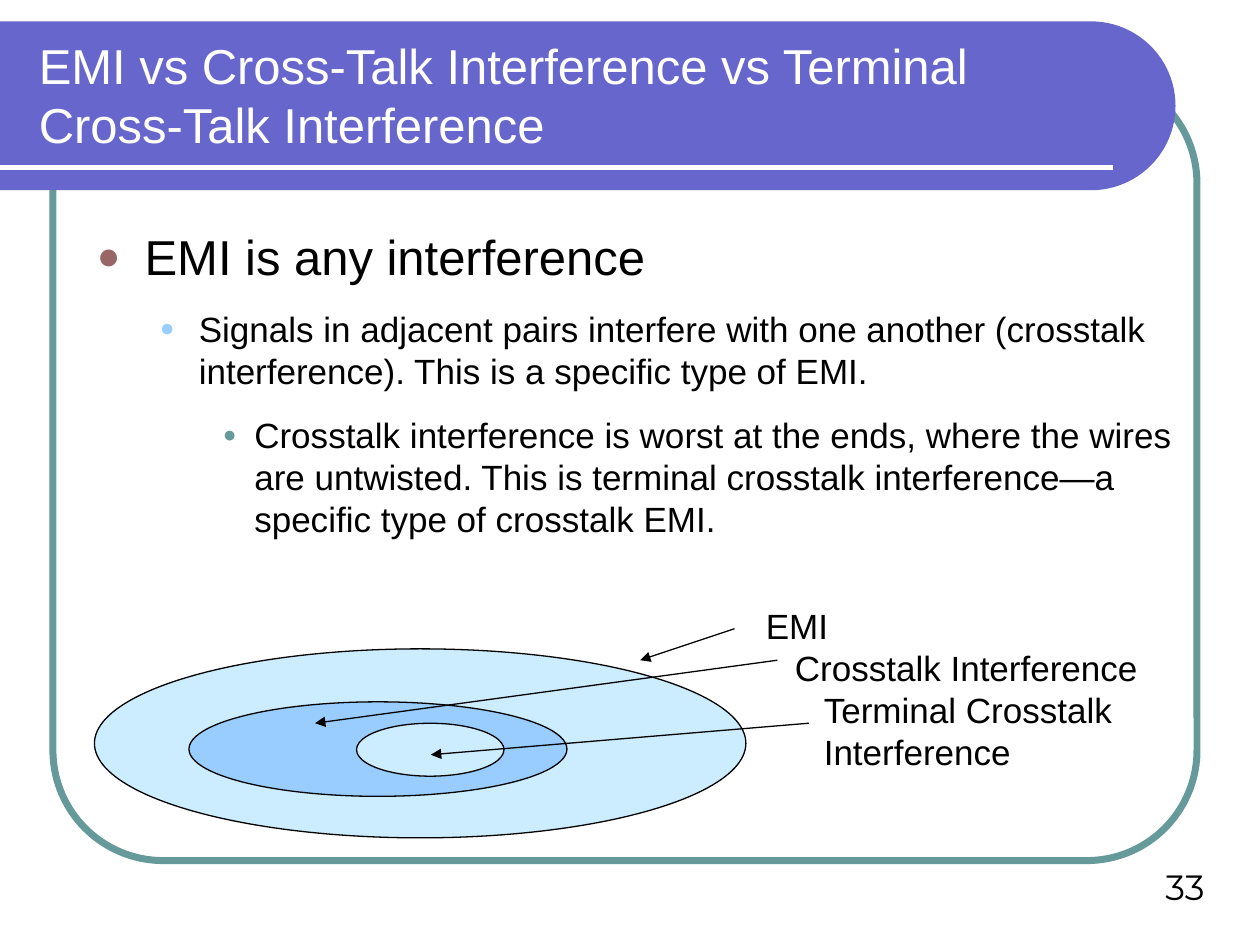
"""Build a slide that nests terminal crosstalk inside crosstalk inside EMI."""
from math import cos, pi, sin

from lxml.etree import SubElement
from pptx import Presentation
from pptx.dml.color import RGBColor
from pptx.enum.shapes import MSO_CONNECTOR, MSO_SHAPE
from pptx.enum.text import MSO_ANCHOR, PP_ALIGN
from pptx.oxml.ns import qn
from pptx.util import Inches, Pt

COLORS = {"band": "6666CC", "frame": "669999", "white": "FFFFFF", "black": "000000",
          "pale": "CCECFF", "sky": "99CCFF", "rose": "996666"}

TITLE = ["EMI vs Cross-Talk Interference vs Terminal Cross-Talk Interference"]
POINTS = [
    dict(text="EMI is any interference", size=28, margin=0.38, hanging=0.38,
         before=21, bullet="rose", bullet_size=80),
    dict(text="Signals in adjacent pairs interfere with one another (crosstalk "
              "interference). This is a specific type of EMI.",
         margin=0.81, hanging=0.31, before=12.5, bullet="sky", bullet_size=70),
    dict(text="Crosstalk interference is worst at the ends, where the wires are untwisted. "
              "This is terminal crosstalk interference—a specific type of crosstalk EMI.",
         margin=1.25, hanging=0.25, before=12.5, bullet="frame", bullet_size=65),
]
LABEL_STEP = 0.23
LABELS = [("EMI", 0), ("Crosstalk Interference", 1),
          ("Terminal Crosstalk", 2), ("Interference", 2)]
ELLIPSES = [((0.75, 5.15, 5.17, 1.5), "pale"), ((1.5, 5.57, 3, 0.75), "sky"),
            ((2.83, 5.74, 1.17, 0.42), "pale")]
ARROWS = [((5.83, 4.99), (5.08, 5.24)), ((6.17, 5.24), (2.5, 5.74)),
          ((6.42, 5.74), (3.42, 5.99))]
BAND_TOP, BAND_RIGHT, BAND_RADIUS = 0.17, 9.33, 0.67


def color(name):
    return RGBColor.from_string(COLORS[name])


def format_shape(shape, fill=None, line=None, width=0.75):
    shape.shadow.inherit = False
    if fill:
        shape.fill.solid()
        shape.fill.fore_color.rgb = color(fill)
    else:
        shape.fill.background()
    if line:
        shape.line.color.rgb = color(line)
        shape.line.width = Pt(width)
    else:
        shape.line.fill.background()


def add_preset(page, kind, place, **style):
    shape = page.shapes.add_shape(kind, *map(Inches, place))
    format_shape(shape, **style)
    return shape


def add_band(page):
    center_x, center_y = BAND_RIGHT - BAND_RADIUS, BAND_TOP + BAND_RADIUS
    steps = 48
    angles = [pi * step / steps - pi / 2 for step in range(steps + 1)]
    curve = [(center_x + BAND_RADIUS * cos(angle), center_y + BAND_RADIUS * sin(angle))
             for angle in angles]
    outline = curve + [(0, BAND_TOP + 2 * BAND_RADIUS)]
    builder = page.shapes.build_freeform(0, Inches(BAND_TOP))
    builder.add_line_segments([(Inches(x), Inches(y)) for x, y in outline], close=True)
    format_shape(builder.convert_to_shape(), fill="band")


def add_line(page, start, end, line="black", width=0.75, arrow=False):
    connector = page.shapes.add_connector(MSO_CONNECTOR.STRAIGHT, *map(Inches, start + end))
    connector.line.color.rgb = color(line)
    connector.line.width = Pt(width)
    if arrow:
        SubElement(connector.line._get_or_add_ln(), qn("a:tailEnd"), type="triangle")
    SubElement(connector._element.spPr, qn("a:effectLst"))


def add_paragraph(paragraph, text, size=20, font="Arial", ink="black", margin=0, hanging=0,
                  before=0, bullet=None, bullet_size=100, align=PP_ALIGN.LEFT):
    paragraph.alignment = align
    paragraph.space_before = Pt(before)
    properties = paragraph._p.get_or_add_pPr()
    properties.set("marL", str(Inches(margin)))
    properties.set("indent", str(-Inches(hanging)))
    if bullet:
        bullet_color = SubElement(properties, qn("a:buClr"))
        SubElement(bullet_color, qn("a:srgbClr"), val=COLORS[bullet])
        SubElement(properties, qn("a:buSzPct"), val=str(bullet_size * 1000))
        SubElement(properties, qn("a:buFont"), typeface="Arial")
        SubElement(properties, qn("a:buChar"), char="●")
    span = paragraph.add_run()
    span.text = text
    span.font.size = Pt(size)
    span.font.name = font
    span.font.color.rgb = color(ink)


def add_text(page, place, paragraphs, anchor=MSO_ANCHOR.TOP, **style):
    frame = page.shapes.add_textbox(*map(Inches, place)).text_frame
    frame.word_wrap = True
    frame.vertical_anchor = anchor
    for index, entry in enumerate(paragraphs):
        paragraph = frame.add_paragraph() if index else frame.paragraphs[0]
        settings = entry if isinstance(entry, dict) else {"text": entry}
        add_paragraph(paragraph, **{**style, **settings})


def main():
    deck = Presentation()
    deck.slide_width, deck.slide_height = Inches(10), Inches(7.5)
    page = deck.slides.add_slide(deck.slide_layouts[6])

    border = add_preset(page, MSO_SHAPE.ROUNDED_RECTANGLE, (0.42, 0.58, 9.08, 6.25),
                        line="frame", width=4)
    border.adjustments[0] = 0.14
    add_band(page)
    add_line(page, (0, 1.33), (8.83, 1.33), line="white", width=3)
    add_text(page, (0.21, 0.25, 8.77, 1), TITLE, anchor=MSO_ANCHOR.MIDDLE,
             size=28, ink="white")
    add_text(page, (0.67, 1.75, 8.83, 5), POINTS)

    for place, fill in ELLIPSES:
        add_preset(page, MSO_SHAPE.OVAL, place, fill=fill, line="black")
    labels = [dict(text=text, margin=level * LABEL_STEP) for text, level in LABELS]
    add_text(page, (5.98, 4.75, 3.25, 1.44), labels)
    for start, end in ARROWS:
        add_line(page, start, end, arrow=True)
    add_text(page, (7.33, 6.75, 2.33, 0.5), ["33"], anchor=MSO_ANCHOR.BOTTOM,
             font="Montserrat", align=PP_ALIGN.RIGHT)

    deck.save("out.pptx")


if __name__ == "__main__":
    main()
